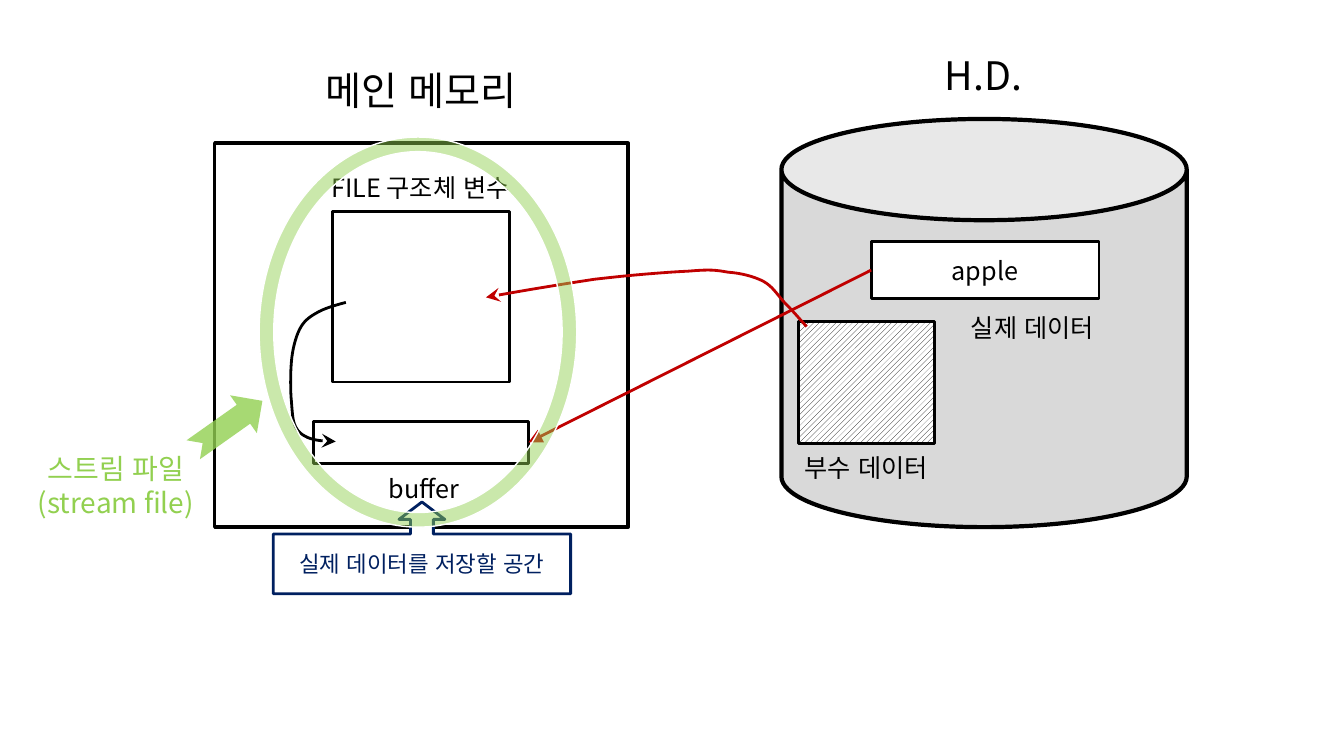
from dataclasses import dataclass
from typing import Optional

from lxml.etree import SubElement
from pptx import Presentation
from pptx.dml.color import RGBColor
from pptx.enum.dml import MSO_PATTERN
from pptx.enum.lang import MSO_LANGUAGE_ID
from pptx.enum.shapes import MSO_CONNECTOR, MSO_SHAPE
from pptx.enum.text import MSO_ANCHOR, MSO_AUTO_SIZE, PP_ALIGN
from pptx.oxml.ns import qn
from pptx.util import Inches, Pt

Point = tuple[float, float]


@dataclass(frozen=True)
class Theme:
    font: str = "Noto Sans CJK KR"
    black: str = "000000"
    white: str = "FFFFFF"
    gray: str = "D9D9D9"
    red: str = "C00000"
    navy: str = "002060"
    green: str = "92D050"
    heading: int = 28
    stream: int = 20
    label: int = 18
    note: int = 16
    stroke: float = 2


THEME = Theme()


@dataclass(frozen=True)
class Block:
    kind: MSO_SHAPE
    area: tuple[float, float, float, float]
    fill: str = THEME.white
    line: Optional[str] = THEME.black
    width: float = THEME.stroke
    text: str = ""
    size: int = THEME.label
    ink: str = THEME.black
    adjustments: tuple[float, ...] = ()
    opacity: int = 100
    rotation: float = 0
    hatched: bool = False


@dataclass(frozen=True)
class Label:
    lines: tuple[str, ...]
    area: tuple[float, float, float, float]
    size: int = THEME.label
    ink: str = THEME.black


@dataclass(frozen=True)
class Curve:
    start: Point
    bends: tuple[tuple[Point, Point, Point], ...]
    color: str


MAIN_MEMORY = Block(MSO_SHAPE.RECTANGLE, (2.13, 1.42, 4.1, 3.81), width=2.5)
HARD_DISK = Block(MSO_SHAPE.CAN, (7.75, 1.18, 4.02, 4.05), THEME.gray, width=3)
ACTUAL_DATA = Block(MSO_SHAPE.RECTANGLE, (8.64, 2.4, 2.26, 0.56), text="apple")
EXTRA_DATA = Block(MSO_SHAPE.RECTANGLE, (7.92, 3.19, 1.35, 1.21), hatched=True)
FILE_STRUCTURE = Block(MSO_SHAPE.RECTANGLE, (3.3, 2.1, 1.75, 1.69))
BUFFER = Block(MSO_SHAPE.RECTANGLE, (3.11, 4.18, 2.13, 0.42))
BUFFER_NOTE = Block(
    MSO_SHAPE.UP_ARROW_CALLOUT, (2.71, 4.98, 2.95, 0.91), line=THEME.navy,
    text="실제 데이터를 저장할 공간", size=THEME.note, ink=THEME.navy,
    adjustments=(0.25, 0.25, 0.19, 0.65))
STREAM_RING = Block(
    MSO_SHAPE.DONUT, (2.57, 1.36, 3.15, 3.87), THEME.green, THEME.white, 1,
    adjustments=(0.046,), opacity=48)
STREAM_ARROW = Block(
    MSO_SHAPE.NOTCHED_RIGHT_ARROW, (1.84, 3.99, 0.84, 0.46), THEME.green, None,
    opacity=80, rotation=324.7)
LABELS = (
    Label(("H.D.",), (9.27, 0.46, 0.97, 0.57), THEME.heading),
    Label(("메인 메모리",), (3.11, 0.61, 2.13, 0.57), THEME.heading),
    Label(("부수 데이터",), (7.87, 4.44, 1.44, 0.4)),
    Label(("실제 데이터",), (9.52, 3.05, 1.44, 0.4)),
    Label(("buffer",), (3.67, 4.65, 1.07, 0.4)),
    Label(("FILE 구조체 변수",), (3.13, 1.66, 2.08, 0.4)),
)
STREAM_LABEL = Label(("스트림 파일", "(stream file)"), (0.17, 4.43, 1.96, 0.77),
                     THEME.stream, THEME.green)
CURVES = (
    Curve((3.43, 3), (
        ((3.32, 3.03), (3.21, 3.06), (3.13, 3.11)),
        ((3.06, 3.15), (3.01, 3.19), (2.97, 3.27)),
        ((2.93, 3.35), (2.9, 3.47), (2.89, 3.59)),
        ((2.88, 3.71), (2.88, 3.88), (2.89, 3.98)),
        ((2.9, 4.09), (2.9, 4.17), (2.93, 4.23)),
        ((2.96, 4.29), (2.99, 4.31), (3.05, 4.34)),
        ((3.12, 4.37), (3.22, 4.38), (3.33, 4.38)),
    ), THEME.black),
    Curve((8, 3.24), (
        ((7.92, 3.15), (7.84, 3.06), (7.77, 2.99)),
        ((7.7, 2.91), (7.66, 2.84), (7.57, 2.79)),
        ((7.47, 2.74), (7.35, 2.71), (7.22, 2.7)),
        ((7.1, 2.68), (7.05, 2.67), (6.83, 2.69)),
        ((6.61, 2.7), (6.24, 2.73), (5.9, 2.77)),
        ((5.57, 2.82), (5.2, 2.88), (4.82, 2.95)),
    ), THEME.red),
)


def write(frame, lines: tuple[str, ...], size: int, ink: str) -> None:
    for index, line in enumerate(lines):
        para = frame.add_paragraph() if index else frame.paragraphs[0]
        para.alignment = PP_ALIGN.CENTER
        span = para.add_run()
        span.text = line
        span.font.size = Pt(size)
        span.font.name = THEME.font
        span.font.language_id = MSO_LANGUAGE_ID.KOREAN
        span.font.color.rgb = RGBColor.from_string(ink)
        SubElement(span.font._element, qn("a:ea"), typeface=THEME.font)


def draw_block(page, block: Block):
    shape = page.shapes.add_shape(block.kind, *map(Inches, block.area))
    shape.shadow.inherit = False
    shape.rotation = block.rotation
    for index, value in enumerate(block.adjustments):
        shape.adjustments[index] = value
    if block.hatched:
        shape.fill.patterned()
        shape.fill.pattern = MSO_PATTERN.WIDE_UPWARD_DIAGONAL
        shape.fill.fore_color.rgb = RGBColor.from_string(THEME.black)
        shape.fill.back_color.rgb = RGBColor.from_string(block.fill)
    else:
        shape.fill.solid()
        shape.fill.fore_color.rgb = RGBColor.from_string(block.fill)
    if block.opacity < 100:
        color = shape._element.spPr.find(qn("a:solidFill"))[0]
        SubElement(color, qn("a:alpha"), val=str(block.opacity * 1000))
    if block.line:
        shape.line.color.rgb = RGBColor.from_string(block.line)
        shape.line.width = Pt(block.width)
    else:
        shape.line.fill.background()
    if block.text:
        shape.text_frame.vertical_anchor = MSO_ANCHOR.MIDDLE
        write(shape.text_frame, (block.text,), block.size, block.ink)
    return shape


def draw_label(page, label: Label) -> None:
    box = page.shapes.add_textbox(*map(Inches, label.area))
    box.text_frame.word_wrap = False
    box.text_frame.auto_size = MSO_AUTO_SIZE.SHAPE_TO_FIT_TEXT
    write(box.text_frame, label.lines, label.size, label.ink)


def style_arrow(shape, color: str, head: str) -> None:
    shape.line.color.rgb = RGBColor.from_string(color)
    shape.line.width = Pt(THEME.stroke)
    SubElement(shape.line._get_or_add_ln(), qn("a:tailEnd"), type=head, w="lg", len="lg")


def bezier(points: tuple[Point, ...], t: float) -> Point:
    weights = ((1 - t) ** 3, 3 * t * (1 - t) ** 2, 3 * t * t * (1 - t), t ** 3)
    x, y = (sum(w * p[axis] for w, p in zip(weights, points)) for axis in (0, 1))
    return Inches(x), Inches(y)


def draw_curve(page, curve: Curve, steps: int = 8) -> None:
    vertices, start = [], curve.start
    for bend in curve.bends:
        vertices += [bezier((start, *bend), step / steps) for step in range(1, steps + 1)]
        start = bend[-1]
    builder = page.shapes.build_freeform(*map(Inches, curve.start))
    builder.add_line_segments(vertices, close=False)
    shape = builder.convert_to_shape()
    shape.shadow.inherit = False
    shape.fill.background()
    style_arrow(shape, curve.color, "stealth")


def draw_link(page, source, target) -> None:
    link = page.shapes.add_connector(
        MSO_CONNECTOR.STRAIGHT, source.left, source.top + source.height // 2,
        target.left + target.width, target.top + target.height // 2)
    link.begin_connect(source, 1)
    link.end_connect(target, 3)
    style_arrow(link, THEME.red, "triangle")
    SubElement(link._element.spPr, qn("a:effectLst"))


def main() -> None:
    deck = Presentation()
    deck.slide_width, deck.slide_height = Inches(13.33), Inches(7.5)
    page = deck.slides.add_slide(deck.slide_layouts.get_by_name("Blank"))
    for block in (MAIN_MEMORY, HARD_DISK, EXTRA_DATA, FILE_STRUCTURE):
        draw_block(page, block)
    actual_data, buffer = (draw_block(page, block) for block in (ACTUAL_DATA, BUFFER))
    for label in LABELS:
        draw_label(page, label)
    for curve in CURVES:
        draw_curve(page, curve)
    draw_link(page, actual_data, buffer)
    for block in (BUFFER_NOTE, STREAM_RING, STREAM_ARROW):
        draw_block(page, block)
    draw_label(page, STREAM_LABEL)
    deck.save("out.pptx")


if __name__ == "__main__":
    main()
